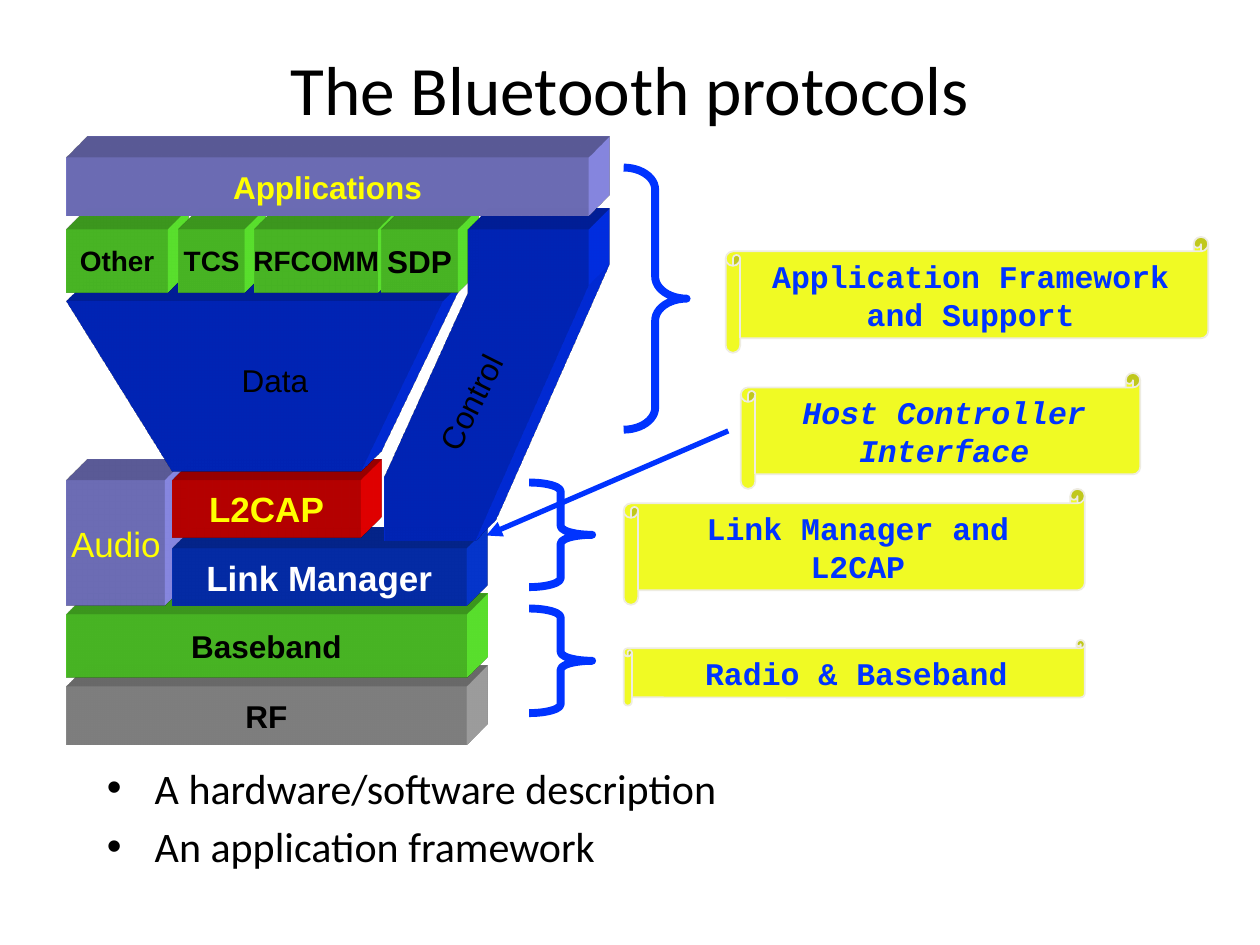
from lxml.etree import SubElement
from pptx import Presentation
from pptx.dml.color import RGBColor
from pptx.enum.shapes import MSO_CONNECTOR, MSO_SHAPE
from pptx.enum.text import MSO_ANCHOR, PP_ALIGN
from pptx.oxml import parse_xml
from pptx.oxml.ns import nsdecls, qn
from pptx.util import Inches, Pt

COLOURS = {
    "black": "000000", "white": "FFFFFF", "yellow": "FFFF00", "scroll": "F0FA24",
    "edge": "EEECE1", "blue": "0033FF", "link": "063DE8", "green": "66FF33",
    "violet": "9999FF", "red": "FF0000", "grey": "B2B2B2",
}
DEPTH = Inches(0.47)


def colour(name):
    return RGBColor.from_string(COLOURS[name])


def write(shape, text, font="Arial", size=18, ink="black", bold=False, italic=False,
          align=PP_ALIGN.CENTER, anchor=MSO_ANCHOR.MIDDLE, wrap=True):
    """Fill a shape with text, one paragraph per line, and return the paragraphs."""
    frame = shape.text_frame
    frame.word_wrap, frame.vertical_anchor = wrap, anchor
    frame.text = text
    for para in frame.paragraphs:
        para.alignment = align
        for span in para.runs:
            span.font.name, span.font.size = font, Pt(size)
            span.font.bold, span.font.italic = bold, italic
            span.font.color.rgb = colour(ink)
    return frame.paragraphs


class Diagram:
    def __init__(self, page):
        self.page = page

    def paint(self, shape, fill=None, line=None, width=1):
        shape.shadow.inherit = False
        if fill:
            shape.fill.solid()
            shape.fill.fore_color.rgb = colour(fill)
        else:
            shape.fill.background()
        if line:
            shape.line.color.rgb = colour(line)
            shape.line.width = Pt(width)
        else:
            shape.line.fill.background()
        return shape

    def preset(self, kind, place, **style):
        box = self.page.shapes.add_shape(kind, *map(Inches, place))
        return self.paint(box, **style)

    def extrude(self, shape, fill):
        """Give a shape depth towards the upper right."""
        properties = shape._element.spPr
        properties.append(parse_xml(
            f'<a:scene3d {nsdecls("a")}><a:camera prst="legacyObliqueTopRight"/>'
            '<a:lightRig rig="legacyFlat3" dir="b"/></a:scene3d>'))
        properties.append(parse_xml(
            f'<a:sp3d {nsdecls("a")} extrusionH="{DEPTH}" prstMaterial="legacyMatte">'
            '<a:bevelT w="13500" h="13500" prst="angle"/>'
            '<a:bevelB w="13500" h="13500" prst="angle"/>'
            f'<a:extrusionClr><a:srgbClr val="{COLOURS[fill]}"/></a:extrusionClr></a:sp3d>'))

    def block(self, text, place, fill, **style):
        box = self.preset(MSO_SHAPE.RECTANGLE, place, fill=fill)
        self.extrude(box, fill)
        write(box, text, wrap=False, **style)

    def outline(self, points, fill):
        corners = [(Inches(x), Inches(y)) for x, y in points]
        builder = self.page.shapes.build_freeform(*corners[0])
        builder.add_line_segments(corners[1:], close=True)
        self.extrude(self.paint(builder.convert_to_shape(), fill=fill), fill)

    def scroll(self, text, place, italic=False):
        box = self.preset(MSO_SHAPE.HORIZONTAL_SCROLL, place, fill="scroll", line="edge")
        write(box, text, font="Courier New", ink="blue", bold=True, italic=italic)

    def brace(self, place, curve):
        box = self.preset(MSO_SHAPE.RIGHT_BRACE, place, line="blue", width=4.5)
        box.adjustments[0] = curve

    def arrow(self, start, end):
        line = self.page.shapes.add_connector(
            MSO_CONNECTOR.STRAIGHT, *map(Inches, start + end))
        line.line.color.rgb = colour("blue")
        line.line.width = Pt(3)
        SubElement(line.line._get_or_add_ln(), qn("a:tailEnd"), type="triangle")
        SubElement(line._element.spPr, qn("a:effectLst"))

    def label(self, text, place, turn=0, **style):
        box = self.page.shapes.add_textbox(*map(Inches, place))
        box.rotation = turn
        return write(box, text, **style)

    def bullets(self, text, place):
        for para in self.label(text, place, font="Calibri", size=24,
                               align=PP_ALIGN.LEFT, anchor=MSO_ANCHOR.TOP):
            para.space_before = Pt(4.8)
            properties = para._p.get_or_add_pPr()
            properties.set("marL", str(Inches(0.38)))
            properties.set("indent", str(-Inches(0.38)))
            SubElement(properties, qn("a:buFont"), typeface="Arial")
            SubElement(properties, qn("a:buChar"), char="•")


def main():
    deck = Presentation()
    deck.slide_width, deck.slide_height = Inches(10), Inches(7.5)
    diagram = Diagram(deck.slides.add_slide(deck.slide_layouts[6]))
    left_label = {"align": PP_ALIGN.LEFT, "anchor": MSO_ANCHOR.TOP}

    # Layer names on scrolls, with their braces
    diagram.scroll("Application Framework and Support", (5.76, 1.88, 3.83, 0.92))
    diagram.brace((4.95, 1.33, 0.5, 2.08), 0.35)
    diagram.scroll("Link Manager and L2CAP", (4.95, 3.88, 3.66, 0.92))
    diagram.scroll("Radio & Baseband", (4.95, 5.08, 3.66, 0.52))
    for top in (3.83, 4.83):
        diagram.brace((4.2, top, 0.5, 0.83), 0.14)
    diagram.scroll("Host Controller Interface", (5.88, 2.96, 3.17, 0.92), italic=True)
    diagram.arrow((5.78, 3.42), (3.86, 4.25))

    # Lower layers, from the radio upwards
    diagram.block("RF", (0.53, 5.45, 3.17, 0.46), "grey", bold=True)
    diagram.block("Baseband", (0.53, 4.88, 3.17, 0.5), "green", bold=True)
    diagram.block("Audio", (0.53, 3.81, 0.78, 1), "violet", size=20, ink="yellow")
    diagram.block("Link Manager", (1.37, 4.35, 2.33, 0.46), "link",
                  size=20, ink="white", bold=True)
    diagram.block("L2CAP", (1.37, 3.81, 1.49, 0.46), "red",
                  size=20, ink="yellow", bold=True)

    # Data funnel and the protocols above it
    diagram.outline([(1.37, 3.74), (0.53, 2.39), (3.51, 2.39), (2.86, 3.74)], "blue")
    for name, left, width, size in (("Other", 0.53, 0.8, 16), ("TCS", 1.42, 0.52, 16),
                                    ("RFCOMM", 2.02, 0.98, 16), ("SDP", 3.03, 0.6, 18)):
        diagram.block(name, (left, 1.82, width, 0.5), "green", size=size, bold=True)
    diagram.label("Data", (1.82, 2.82, 0.91, 0.5), **left_label)

    # Control path and applications
    diagram.outline([(3.05, 4.29), (3.05, 3.78), (3.71, 2.33), (3.71, 1.82),
                     (4.67, 1.82), (4.67, 2.26), (3.77, 4.29)], "blue")
    diagram.block("Applications", (0.53, 1.25, 4.14, 0.46), "violet",
                  ink="yellow", bold=True)
    diagram.label("Control", (3.2, 2.84, 1.28, 0.5), turn=296.8, **left_label)

    # Title and bullets
    diagram.label("The Bluetooth protocols", (0.75, 0.33, 8.5, 0.73),
                  font="Calibri", size=39.6)
    diagram.bullets("A hardware/software description\nAn application framework",
                    (0.75, 6, 8.5, 1))
    deck.save("out.pptx")


if __name__ == "__main__":
    main()
